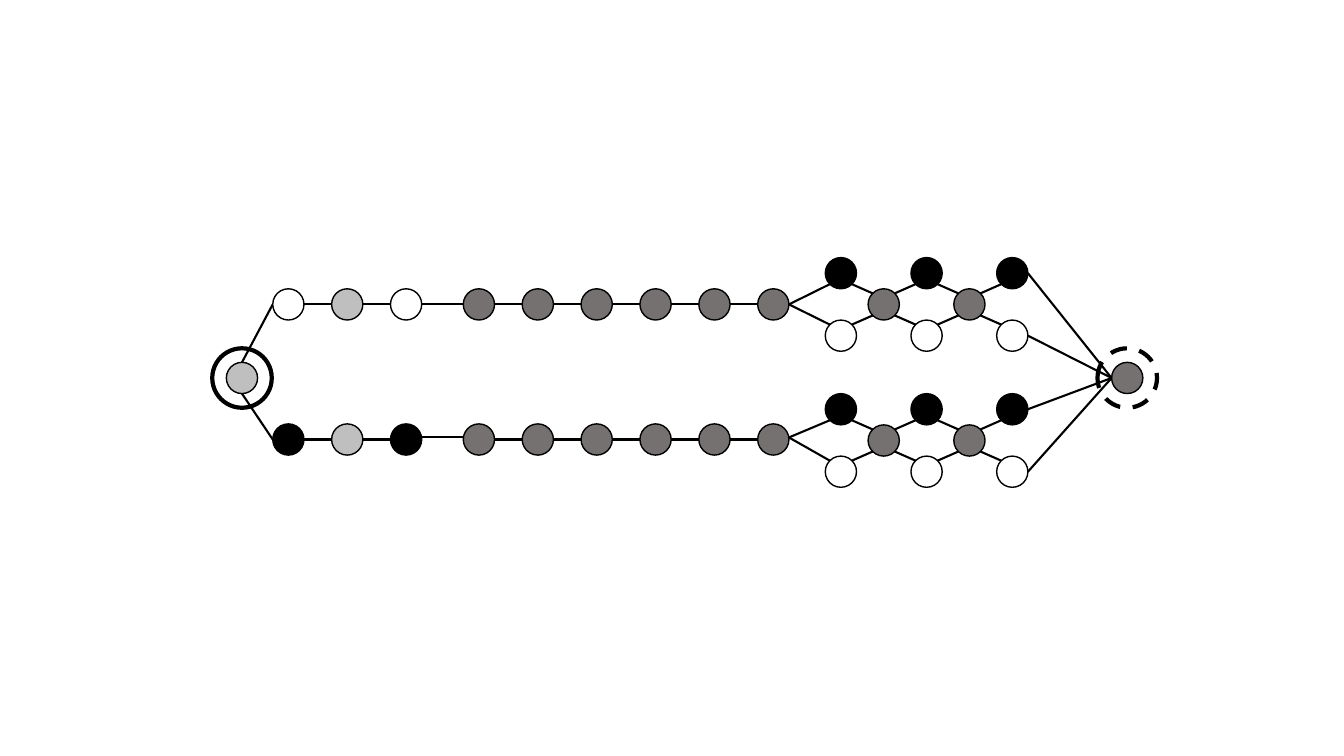
from dataclasses import dataclass
from math import hypot

from pptx import Presentation
from pptx.dml.color import RGBColor
from pptx.enum.dml import MSO_LINE
from pptx.enum.shapes import MSO_CONNECTOR, MSO_SHAPE
from pptx.oxml import parse_xml
from pptx.oxml.ns import nsdecls
from pptx.util import Inches, Pt

OVAL = MSO_SHAPE.OVAL
STRAIGHT = MSO_CONNECTOR.STRAIGHT
DASH = MSO_LINE.DASH

NODE, RING = 0.31, 0.59
PITCH = (7.67 - 4.75) / 5
PAIR_PITCH, PAIR_OFFSET = 0.85, 0.31
HEAD_X, TAIL_X, PAIR_X = 2.86, 4.75, 8.34
START, GOAL = (2.4, 3.75), (11.18, 3.75)


@dataclass(frozen=True)
class Theme:
    """Colours and line widths of the graph."""
    black: RGBColor = RGBColor(0x00, 0x00, 0x00)
    white: RGBColor = RGBColor(0xFF, 0xFF, 0xFF)
    light: RGBColor = RGBColor(0xBF, 0xBF, 0xBF)
    dark: RGBColor = RGBColor(0x76, 0x71, 0x71)
    node_line: Pt = Pt(1)
    edge_line: Pt = Pt(1.5)
    ring_line: Pt = Pt(3)


THEME = Theme()


def add_circle(shapes, center, size, fill, width, dash=None):
    """Draw a circle around a centre, unfilled when fill is None."""
    x, y = center
    sp = shapes.add_shape(OVAL, Inches(x - size / 2), Inches(y - size / 2),
                          Inches(size), Inches(size))
    sp.shadow.inherit = False
    if fill is None:
        sp.fill.background()
    else:
        sp.fill.solid()
        sp.fill.fore_color.rgb = fill
    sp.line.color.rgb = THEME.black
    sp.line.width = width
    if dash:
        sp.line.dash_style = dash


def add_node(shapes, center, fill):
    """Draw one graph node."""
    add_circle(shapes, center, NODE, fill, THEME.node_line)


def add_edge(shapes, begin, end):
    """Draw a straight edge between two points."""
    line = shapes.add_connector(STRAIGHT, *(Inches(v) for v in (*begin, *end)))
    line.line.color.rgb = THEME.black
    line.line.width = THEME.edge_line
    line._element.spPr.append(parse_xml(f"<a:effectLst {nsdecls('a')}/>"))


def rim(center, dx, dy):
    """Return the point on a node's rim in the given direction."""
    scale = NODE / 2 / hypot(dx, dy)
    return center[0] + dx * scale, center[1] + dy * scale


def add_chain(shapes, x, y, fills):
    """Draw evenly spaced nodes joined in a row."""
    centers = [(x + i * PITCH, y) for i in range(len(fills))]
    for center, fill in zip(centers, fills):
        add_node(shapes, center, fill)
    for left, right in zip(centers, centers[1:]):
        add_edge(shapes, rim(left, 1, 0), rim(right, -1, 0))


def add_lattice(shapes, y, fork):
    """Draw three black and white pairs with a shared node between them."""
    xs = [PAIR_X + i * PAIR_PITCH for i in range(3)]
    middles = [(x + PAIR_PITCH / 2, y) for x in xs[:-1]]
    for middle in middles:
        add_node(shapes, middle, THEME.dark)
    for side, fill in ((-1, THEME.black), (1, THEME.white)):
        outer = [(x, y + side * PAIR_OFFSET) for x in xs]
        for center in outer:
            add_node(shapes, center, fill)
        add_edge(shapes, fork, rim(outer[0], -1, -side))
        for left, middle, right in zip(outer, middles, outer[1:]):
            add_edge(shapes, rim(left, 1, -side), rim(middle, -1, side))
            add_edge(shapes, rim(middle, 1, side), rim(right, -1, -side))
        add_edge(shapes, rim(outer[-1], 1, 0), rim(GOAL, -1, 0))


def add_branch(shapes, side, end_fill, chain_y, link_y, lattice_y):
    """Draw one route from the start node to the goal node."""
    add_edge(shapes, rim(START, 0, side), rim((HEAD_X, chain_y), -1, 0))
    add_chain(shapes, HEAD_X, chain_y, [end_fill, THEME.light, end_fill])
    add_edge(shapes, rim((HEAD_X + 2 * PITCH, link_y), 1, 0),
             rim((TAIL_X, link_y), -1, 0))
    add_chain(shapes, TAIL_X, chain_y, [THEME.dark] * 6)
    add_lattice(shapes, lattice_y, rim((TAIL_X + 5 * PITCH, link_y), 1, 0))


def main():
    """Build the slide and save it."""
    prs = Presentation()
    prs.slide_width, prs.slide_height = Inches(13.33), Inches(7.5)
    s = prs.slides.add_slide(prs.slide_layouts[6])
    shapes = s.shapes.add_group_shape().shapes
    add_node(shapes, START, THEME.light)
    add_node(shapes, GOAL, THEME.dark)
    add_branch(shapes, -1, THEME.white, 3.02, 3.02, 3.02)
    add_branch(shapes, 1, THEME.black, 4.36, 4.34, 4.37)
    add_circle(shapes, START, RING, None, THEME.ring_line)
    add_circle(shapes, GOAL, RING, None, THEME.ring_line, DASH)
    prs.save("out.pptx")


if __name__ == "__main__":
    main()
